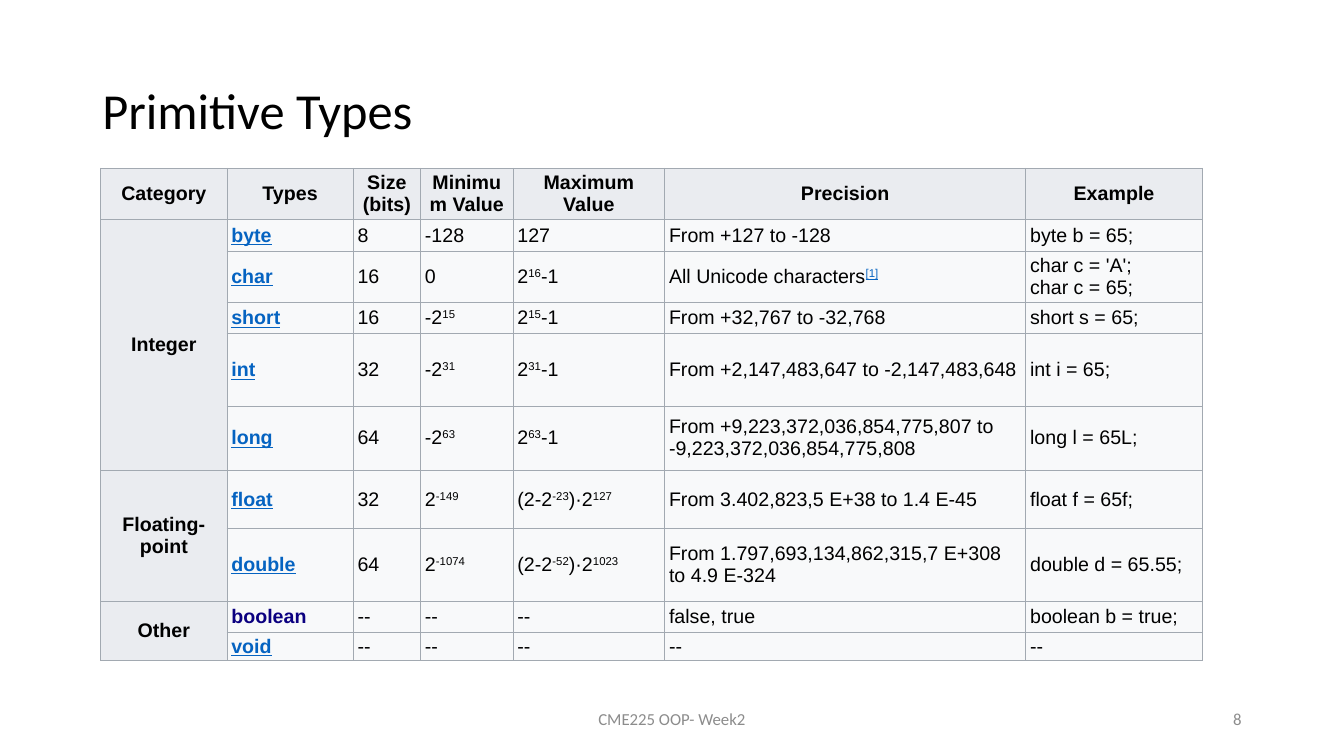
from lxml.etree import SubElement
from pptx import Presentation
from pptx.dml.color import RGBColor
from pptx.enum.text import MSO_ANCHOR, PP_ALIGN
from pptx.oxml.ns import qn
from pptx.util import Cm, Pt

COLORS = {"ink": "000000", "gray": "8C8C8C", "link": "0563C1", "navy": "0B0080",
          "head": "EAECF0", "body": "F8F9FA", "rule": "A2A9B1"}

# Carets enclose superscripts.
HEADS = ["Category", "Types", "Size (bits)", "Minimum Value", "Maximum Value",
         "Precision", "Example"]
GROUPS = {
    "Integer": [
        ("byte", "8", "-128", "127", "From +127 to -128", "byte b = 65;"),
        ("char", "16", "0", "2^16^-1", "All Unicode characters^[1]^",
         "char c = 'A';\nchar c = 65;"),
        ("short", "16", "-2^15^", "2^15^-1", "From +32,767 to -32,768",
         "short s = 65;"),
        ("int", "32", "-2^31^", "2^31^-1",
         "From +2,147,483,647 to -2,147,483,648", "int i = 65;"),
        ("long", "64", "-2^63^", "2^63^-1",
         "From +9,223,372,036,854,775,807 to -9,223,372,036,854,775,808",
         "long l = 65L;"),
    ],
    "Floating-point": [
        ("float", "32", "2^-149^", "(2-2^-23^)·2^127^",
         "From 3.402,823,5\u00a0E+38 to 1.4\u00a0E-45", "float f = 65f;"),
        ("double", "64", "2^-1074^", "(2-2^-52^)·2^1023^",
         "From 1.797,693,134,862,315,7\u00a0E+308 to 4.9\u00a0E-324",
         "double d = 65.55;"),
    ],
    "Other": [
        ("boolean", "--", "--", "--", "false, true", "boolean b = true;"),
        ("void", "--", "--", "--", "--", "--"),
    ],
}
WIDTHS = [3.18, 3.18, 1.7, 2.33, 3.82, 9.1, 4.45]
HEIGHTS = [1.21, 0.8, 1.21, 0.8, 1.82, 1.61, 1.48, 1.82, 0.8, 0.65]

# text, left, top, width, height, size, color, alignment
LABELS = [
    ("Primitive Types", 2.33, 1.01, 29.21, 3.68, 36, "ink", PP_ALIGN.LEFT),
    ("CME225 OOP- Week2", 11.22, 17.65, 11.43, 1.01, 12, "gray", PP_ALIGN.CENTER),
    ("8", 23.92, 17.65, 7.62, 1.01, 12, "gray", PP_ALIGN.RIGHT),
]


def paint(font, color):
    """Set a font's colour by name."""
    font.color.rgb = RGBColor.from_string(COLORS[color])


def style(para, name, size, color, bold=False):
    """Set the font of a whole paragraph."""
    font = para.font
    font.name, font.size, font.bold = name, Pt(size), bold
    paint(font, color)


def label(slide, text, left, top, width, height, size, color, align):
    """Add a text box with one centred-in-height line."""
    box = slide.shapes.add_textbox(Cm(left), Cm(top), Cm(width), Cm(height))
    frame = box.text_frame
    frame.word_wrap, frame.vertical_anchor = True, MSO_ANCHOR.MIDDLE
    para = frame.paragraphs[0]
    para.text, para.alignment, para.line_spacing = text, align, 0.9
    style(para, "Calibri", size, color)


def dress(cell, fill):
    """Give a cell its borders, margins and fill."""
    props = cell._tc.get_or_add_tcPr()
    for side in ("lnL", "lnR", "lnT", "lnB"):
        line = SubElement(props, qn(f"a:{side}"), w=str(Pt(0.75)))
        solid = SubElement(line, qn("a:solidFill"))
        SubElement(solid, qn("a:srgbClr"), val=COLORS["rule"])
    cell.margin_left = cell.margin_right = Cm(0.11)
    cell.margin_top = cell.margin_bottom = Cm(0.05)
    cell.vertical_anchor = MSO_ANCHOR.MIDDLE
    cell.fill.solid()
    cell.fill.fore_color.rgb = RGBColor.from_string(COLORS[fill])


def write(cell, text, color="ink", bold=False, center=False):
    """Write text with superscripts into a cell."""
    para = cell.text_frame.paragraphs[0]
    para.alignment = PP_ALIGN.CENTER if center else PP_ALIGN.LEFT
    style(para, "Arial", 14, color, bold)
    for row, line in enumerate(text.split("\n")):
        if row:
            para.add_line_break()
        for part, bit in enumerate(line.split("^")):
            if not bit:
                continue
            run = para.add_run()
            run.text = bit
            if part % 2:
                run._r.get_or_add_rPr().set("baseline", "30000")
            if color == "link" or bit == "[1]":
                run.font.underline = True
                paint(run.font, "link")


def build(slide):
    """Add the table of types."""
    grid = slide.shapes.add_table(len(HEIGHTS), len(WIDTHS), Cm(2.54), Cm(4.24),
                                  Cm(sum(WIDTHS)), Cm(sum(HEIGHTS))).table
    for col, width in zip(grid.columns, WIDTHS):
        col.width = Cm(width)
    for row, height in zip(grid.rows, HEIGHTS):
        row.height = Cm(height)
    for row in range(len(HEIGHTS)):
        for col in range(len(WIDTHS)):
            dress(grid.cell(row, col), "body" if row and col else "head")
    for col, head in enumerate(HEADS):
        write(grid.cell(0, col), head, bold=True, center=True)
    top = 1
    for group, kinds in GROUPS.items():
        first = grid.cell(top, 0)
        first.merge(grid.cell(top + len(kinds) - 1, 0))
        write(first, group, bold=True, center=True)
        for row, (kind, *facts) in enumerate(kinds, top):
            color = "navy" if kind == "boolean" else "link"
            write(grid.cell(row, 1), kind, color, bold=True)
            for col, fact in enumerate(facts, 2):
                write(grid.cell(row, col), fact)
        top += len(kinds)


deck = Presentation()
deck.slide_width, deck.slide_height = Cm(33.87), Cm(19.05)
page = deck.slides.add_slide(deck.slide_layouts[6])
for item in LABELS:
    label(page, *item)
build(page)
deck.save("out.pptx")
